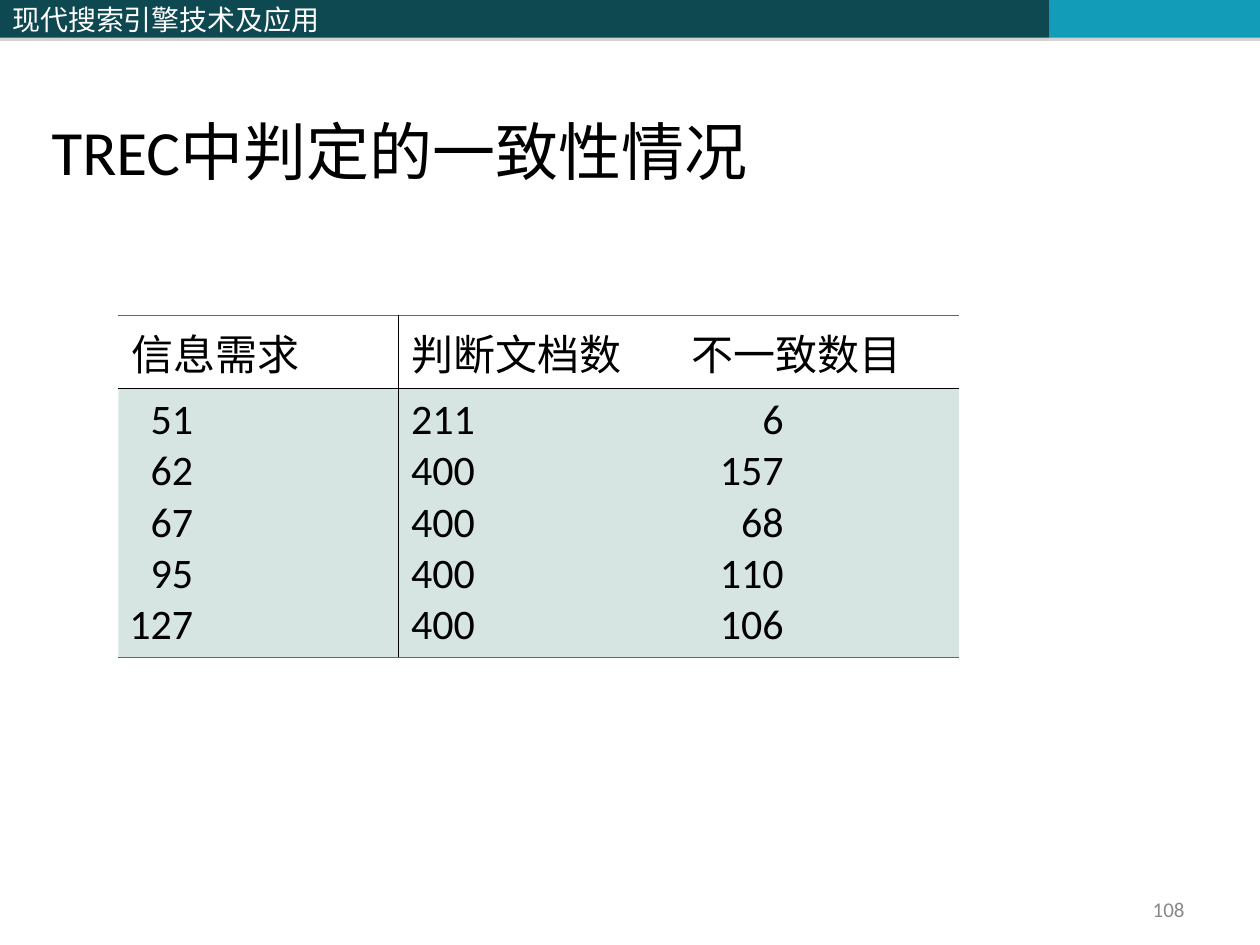
from lxml import etree
from pptx import Presentation
from pptx.dml.color import RGBColor
from pptx.enum import shapes, text
from pptx.oxml import ns
from pptx.util import Inches, Pt

CJK_FONT = "Noto Sans CJK SC"
TEAL, GREEN, BLACK = "0E4851", "357E69", "000000"

HEADERS = ["信息需求", "判断文档数", "不一致数目"]
COLUMNS = [
    ["51", "62", "67", "95", "127"],
    ["211", "400", "400", "400", "400"],
    ["6", "157", "68", "110", "106"],
]
# Right margins that line up the digits of the right-aligned columns
DIGIT_MARGINS = [1.63, None, 1.39]


def color(value):
    return RGBColor.from_string(value)


def add_element(parent, tag, **attributes):
    return etree.SubElement(parent, ns.qn(tag), attributes)


def format_paragraph(paragraph, size, value, font="Calibri", align=text.PP_ALIGN.LEFT):
    paragraph.alignment = align
    paragraph.font.size = Pt(size)
    paragraph.font.name = font
    paragraph.font.color.rgb = color(value)
    for run in paragraph.runs:
        add_element(run.font._element, "a:ea", typeface=CJK_FONT)


def add_bar(slide, left, width, fill):
    """Add one block of the top band, with a thin grey shadow below it."""
    bar = slide.shapes.add_shape(
        shapes.MSO_SHAPE.RECTANGLE, Inches(left), 0, Inches(width), Inches(0.3))
    bar.fill.solid()
    bar.fill.fore_color.rgb = color(fill)
    bar.line.fill.background()
    effects = add_element(bar._element.spPr, "a:effectLst")
    shadow = add_element(effects, "a:outerShdw", blurRad="0", dist=str(Pt(1.8)),
                         dir="5400000", rotWithShape="0")
    shade = add_element(shadow, "a:srgbClr", val="808080")
    add_element(shade, "a:alpha", val="35000")
    return bar


def add_header(slide):
    bar = add_bar(slide, 0, 4.08, TEAL)
    add_bar(slide, 4.08, 4.25, TEAL)
    add_bar(slide, 8.33, 1.67, "139CB7")
    frame = bar.text_frame
    frame.text = "现代搜索引擎技术及应用"
    frame.vertical_anchor = text.MSO_ANCHOR.MIDDLE
    format_paragraph(frame.paragraphs[0], 16, "FFFFFF", CJK_FONT)


def set_title(slide, words):
    title = slide.shapes.title
    title.left, title.top = Inches(0.31), Inches(0.01)
    title.width, title.height = Inches(9.37), Inches(1.53)
    frame = title.text_frame
    frame.text = words
    frame.auto_size = text.MSO_AUTO_SIZE.NONE
    frame.vertical_anchor = text.MSO_ANCHOR.BOTTOM
    format_paragraph(frame.paragraphs[0], 36, BLACK)


def add_page_number(slide, number):
    box = slide.shapes.add_textbox(Inches(7.17), Inches(7.08), Inches(2.33), Inches(0.27))
    frame = box.text_frame
    frame.word_wrap = True
    frame.vertical_anchor = text.MSO_ANCHOR.MIDDLE
    frame.text = number
    format_paragraph(frame.paragraphs[0], 12, "898989", align=text.PP_ALIGN.RIGHT)


def set_borders(cell, borders):
    """Draw the sides given as {side: (colour, points)} and hide the others."""
    properties = cell._tc.get_or_add_tcPr()
    for index, side in enumerate("LRTB"):
        value, width = borders.get(side, (None, 0))
        line = etree.Element(ns.qn(f"a:ln{side}"), w=str(Pt(width)))
        if value:
            fill = add_element(line, "a:solidFill")
            add_element(fill, "a:srgbClr", val=value)
        else:
            add_element(line, "a:noFill")
        properties.insert(index, line)


def fill_translucent(cell, value, percent):
    cell.fill.solid()
    cell.fill.fore_color.rgb = color(value)
    shade = cell._tc.tcPr.find(".//" + ns.qn("a:srgbClr"))
    add_element(shade, "a:alpha", val=str(percent * 1000))


def fill_cell(cell, lines, digit_margin=None):
    cell.text = "\n".join(lines)
    align = text.PP_ALIGN.LEFT
    if digit_margin:
        align = text.PP_ALIGN.RIGHT
        cell.margin_left = 0
        cell.margin_right = Inches(digit_margin)
    for paragraph in cell.text_frame.paragraphs:
        format_paragraph(paragraph, 24, BLACK, align=align)


def add_agreement_table(slide):
    table = slide.shapes.add_table(
        2, 3, Inches(0.94), Inches(2.5), Inches(6.67), Inches(2.6)).table
    table.first_row = table.horz_banding = False
    table.rows[0].height, table.rows[1].height = Inches(0.5), Inches(2.1)
    outer, inner = (GREEN, 0.45), (BLACK, 0.75)
    for column, values in enumerate(COLUMNS):
        divider = [{"R": inner}, {"L": inner}, {}][column]
        header, body = table.cell(0, column), table.cell(1, column)
        fill_cell(header, [HEADERS[column]])
        header.fill.background()
        set_borders(header, {"T": outer, "B": inner, **divider})
        fill_cell(body, values, DIGIT_MARGINS[column])
        fill_translucent(body, GREEN, 20)
        set_borders(body, {"T": inner, "B": outer, **divider})


def main():
    presentation = Presentation()
    presentation.slide_width, presentation.slide_height = Inches(10), Inches(7.5)
    slide = presentation.slides.add_slide(presentation.slide_layouts[5])
    add_header(slide)
    set_title(slide, "TREC中判定的一致性情况")
    add_agreement_table(slide)
    add_page_number(slide, "108")
    presentation.save("out.pptx")


if __name__ == "__main__":
    main()
